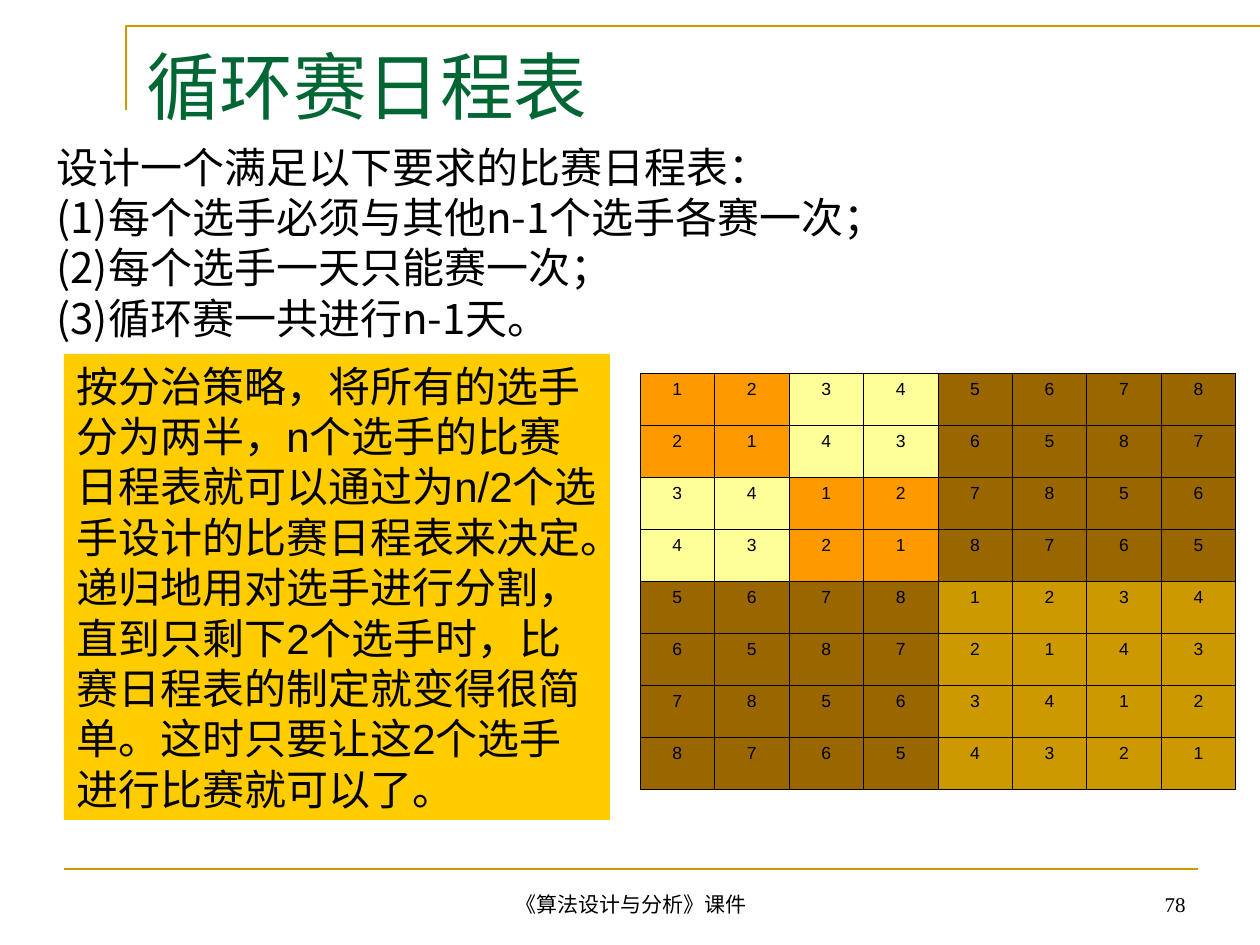
from dataclasses import dataclass

from lxml import etree
from pptx import Presentation
from pptx.dml.color import RGBColor
from pptx.enum.shapes import MSO_CONNECTOR, MSO_SHAPE
from pptx.enum.text import MSO_ANCHOR, PP_ALIGN
from pptx.oxml.ns import qn
from pptx.util import Emu, Pt

LEFT, CENTER, RIGHT = PP_ALIGN.LEFT, PP_ALIGN.CENTER, PP_ALIGN.RIGHT
TOP, BOTTOM = MSO_ANCHOR.TOP, MSO_ANCHOR.BOTTOM
RECTANGLE = MSO_SHAPE.RECTANGLE
STRAIGHT = MSO_CONNECTOR.STRAIGHT

EMU_PER_PX = 914400 / 126
PLAYERS = 8


@dataclass(frozen=True)
class Theme:
    gold: str = "CC9900"
    green: str = "006633"
    black: str = "000000"
    panel: str = "FFCC00"
    same_pair: str = "FF9900"
    other_pair: str = "FFFF99"
    other_half: str = "996600"
    sans: str = "Arial"
    cjk: str = "Noto Sans CJK SC"
    serif: str = "Times New Roman"
    title_size: int = 42
    body_size: int = 24
    footer_size: int = 12
    cell_size: int = 10
    rule_width: float = 1.5
    border_width: float = 0.45


THEME = Theme()


def px(length):
    return Emu(round(length * EMU_PER_PX))


def rgb(color):
    return RGBColor.from_string(color)


def style(paragraph, size, face, color=THEME.black, align=LEFT):
    paragraph.alignment = align
    font = paragraph.font
    font.size, font.name = Pt(size), face
    font.color.rgb = rgb(color)


def add_text(slide, box, lines, size, faces, color=THEME.black, align=LEFT, anchor=TOP):
    """One paragraph per line, each with its own face."""
    frame = slide.shapes.add_textbox(*map(px, box)).text_frame
    frame.word_wrap = True
    frame.vertical_anchor = anchor
    frame.text = "\n".join(lines)
    for paragraph, face in zip(frame.paragraphs, faces):
        style(paragraph, size, face, color, align)


def add_header(slide, box):
    # Corner rule that runs off to the right edge
    left, top, width, height = box
    builder = slide.shapes.build_freeform(px(left), px(top + height))
    builder.add_line_segments(
        [(px(left), px(top)), (px(left + width), px(top))], close=False)
    corner = builder.convert_to_shape()
    corner.shadow.inherit = False
    corner.fill.background()
    corner.line.color.rgb = rgb(THEME.gold)
    corner.line.width = Pt(THEME.rule_width)

    # Title
    add_text(slide, (left + 8, top + 9, 1071, 106), ["循环赛日程表"],
             THEME.title_size, [THEME.cjk], THEME.green)


def add_requirements(slide, box):
    lines = [
        "设计一个满足以下要求的比赛日程表：",
        "(1)每个选手必须与其他n-1个选手各赛一次；",
        "(2)每个选手一天只能赛一次；",
        "(3)循环赛一共进行n-1天。",
    ]
    add_text(slide, box, lines, THEME.body_size, [THEME.sans] + [THEME.cjk] * 3)


def add_strategy(slide, box):
    panel = slide.shapes.add_shape(RECTANGLE, *map(px, box))
    panel.shadow.inherit = False
    panel.fill.solid()
    panel.fill.fore_color.rgb = rgb(THEME.panel)
    panel.line.fill.background()
    frame = panel.text_frame
    frame.word_wrap = True
    frame.vertical_anchor = TOP
    frame.text = (
        "按分治策略，将所有的选手分为两半，n个选手的比赛日程表就可以通过为n/2个"
        "选手设计的比赛日程表来决定。递归地用对选手进行分割，直到只剩下2个选手时，"
        "比赛日程表的制定就变得很简单。这时只要让这2个选手进行比赛就可以了。"
    )
    style(frame.paragraphs[0], THEME.body_size, THEME.sans)


def block_color(row, column):
    half, pair = PLAYERS // 2, PLAYERS // 4
    if row // half != column // half:
        return THEME.other_half
    if row >= half:
        return THEME.gold
    return THEME.same_pair if row // pair == column // pair else THEME.other_pair


def add_borders(cell):
    properties = cell._tc.get_or_add_tcPr()
    for position, side in enumerate(("a:lnL", "a:lnR", "a:lnT", "a:lnB")):
        border = etree.Element(qn(side), w=str(Pt(THEME.border_width)))
        fill = etree.SubElement(border, qn("a:solidFill"))
        etree.SubElement(fill, qn("a:srgbClr"), val=THEME.black)
        properties.insert(position, border)


def add_schedule(slide, box):
    left, top, width, height = map(px, box)
    schedule = slide.shapes.add_table(
        PLAYERS, PLAYERS, left, top, width, height).table
    for row in range(PLAYERS):
        for column in range(PLAYERS):
            cell = schedule.cell(row, column)
            # Mirrored halves at every level: opponents follow from XOR
            cell.text = str((row ^ column) + 1)
            style(cell.text_frame.paragraphs[0], THEME.cell_size, THEME.sans,
                  align=CENTER)
            cell.fill.solid()
            cell.fill.fore_color.rgb = rgb(block_color(row, column))
            add_borders(cell)


def add_footer(slide, box):
    left, top, width, height = box
    # Rule
    rule = slide.shapes.add_connector(
        STRAIGHT, px(left), px(top), px(left + width), px(top))
    rule.line.color.rgb = rgb(THEME.gold)
    rule.line.width = Pt(THEME.rule_width)
    etree.SubElement(rule._element.spPr, qn("a:effectLst"))

    # Course name and page number
    text_top, text_height = top + 10, height - 10
    for text, x, text_width, align in (
        ("《算法设计与分析》课件", left + 367, 400, CENTER),
        ("78", left + width - 294, 294, RIGHT),
    ):
        add_text(slide, (x, text_top, text_width, text_height), [text],
                 THEME.footer_size, [THEME.serif], align=align, anchor=BOTTOM)


def main():
    presentation = Presentation()
    presentation.slide_width, presentation.slide_height = px(1260), px(945)
    slide = presentation.slides.add_slide(presentation.slide_layouts[6])
    add_header(slide, (126, 26, 1134, 84))
    add_requirements(slide, (44, 135, 1154, 214))
    add_strategy(slide, (64, 354, 546, 466))
    add_schedule(slide, (640, 373, 596, 417))
    add_footer(slide, (64, 869, 1134, 54))
    presentation.save("out.pptx")


if __name__ == "__main__":
    main()
